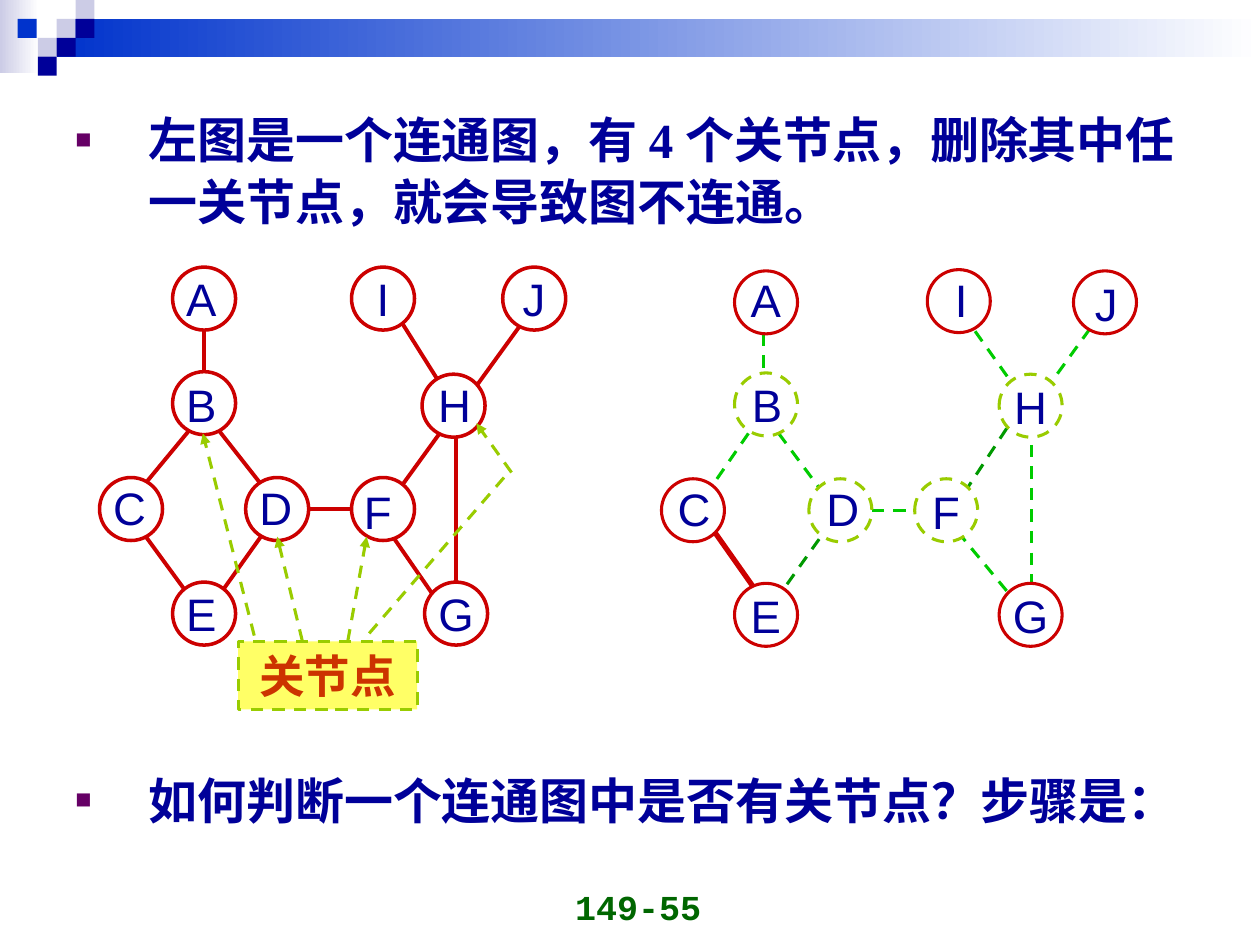
import lxml.etree
import pptx
import pptx.dml.color
import pptx.enum.dml
import pptx.enum.shapes
import pptx.enum.text
import pptx.oxml.ns
import pptx.util

Inches = pptx.util.Inches
Pt = pptx.util.Pt
RGBColor = pptx.dml.color.RGBColor
SHAPE = pptx.enum.shapes.MSO_SHAPE
ALIGN = pptx.enum.text.PP_ALIGN
ANCHOR = pptx.enum.text.MSO_ANCHOR
AUTO_SIZE = pptx.enum.text.MSO_AUTO_SIZE

WHITE = RGBColor(0xFF, 0xFF, 0xFF)
LAVENDER = RGBColor(0xCC, 0xCC, 0xE6)
ROYAL = RGBColor(0x00, 0x33, 0xCC)
NAVY = RGBColor(0x00, 0x00, 0x99)
PURPLE = RGBColor(0x66, 0x00, 0x66)
RED = RGBColor(0xCC, 0x00, 0x00)
RUST = RGBColor(0xCC, 0x33, 0x00)
YELLOW = RGBColor(0xFF, 0xFF, 0x66)
LIME = RGBColor(0x99, 0xCC, 0x00)
GREEN = RGBColor(0x00, 0xCC, 0x00)
MID_GREEN = RGBColor(0x00, 0x99, 0x00)
DARK_GREEN = RGBColor(0x00, 0x66, 0x00)

LETTER_WIDTHS = dict(A=0.44, B=0.44, C=0.46, D=0.46, E=0.44,
                     F=0.42, G=0.48, H=0.46, I=0.3, J=0.38)
NODE_SIZE = 0.5
SQUARE = 0.15


class SlideBuilder:
    def __init__(self, slide):
        self.slide = slide

    def add_child(self, parent, tag, **attributes):
        return lxml.etree.SubElement(parent, pptx.oxml.ns.qn(tag), attributes)

    def style_line(self, line, color, width, dashed):
        line.color.rgb = color
        line.width = Pt(width)
        if dashed:
            line.dash_style = pptx.enum.dml.MSO_LINE.DASH

    def style_font(self, font, size, color, bold=False, name=None):
        font.size = Pt(size)
        font.color.rgb = color
        font.bold = bold
        if name:
            font.name = name

    def shape(self, kind, x, y, width, height, fill, outline=None, weight=1.75, dashed=False):
        shape = self.slide.shapes.add_shape(kind, *map(Inches, (x, y, width, height)))
        shape.shadow.inherit = False
        shape.fill.solid()
        shape.fill.fore_color.rgb = fill
        if outline is None:
            shape.line.fill.background()
        else:
            self.style_line(shape.line, outline, weight, dashed)
        return shape

    def fade(self, x, y, width, height, color):
        band = self.shape(SHAPE.RECTANGLE, x, y, width, height, color)
        band.fill.gradient()
        band.fill.gradient_angle = 0
        for stop, stop_color in zip(band.fill.gradient_stops, (color, WHITE)):
            stop.color.rgb = stop_color

    def text(self, x, y, width, height, wrap=True):
        frame = self.slide.shapes.add_textbox(*map(Inches, (x, y, width, height))).text_frame
        frame.word_wrap = wrap
        return frame

    def letter(self, letter, x, y):
        frame = self.text(x, y, LETTER_WIDTHS[letter], 0.54, wrap=False)
        frame.auto_size = AUTO_SIZE.SHAPE_TO_FIT_TEXT
        frame.text = letter
        self.style_font(frame.paragraphs[0].font, 26, NAVY, name="Arial")

    def bullet(self, y, height, runs):
        paragraph = self.text(0.5, y, 9, height).paragraphs[0]
        paragraph.line_spacing = 1.05
        properties = paragraph._p.get_or_add_pPr()
        properties.set("marL", str(Inches(0.58)))
        properties.set("indent", str(-Inches(0.58)))
        bullet_color = self.add_child(properties, "a:buClr")
        self.add_child(bullet_color, "a:srgbClr", val=str(PURPLE))
        self.add_child(properties, "a:buSzPct", val="55000")
        self.add_child(properties, "a:buFont", typeface="Arial")
        self.add_child(properties, "a:buChar", char="■")
        self.style_font(paragraph.font, 28, NAVY, bold=True)
        for words, font_name in runs:
            run = paragraph.add_run()
            run.text = words
            run.font.name = font_name

    def line(self, start, end, color, width=1.75, dashed=True, arrow=False):
        connector = self.slide.shapes.add_connector(
            pptx.enum.shapes.MSO_CONNECTOR.STRAIGHT, *map(Inches, (*start, *end)))
        self.style_line(connector.line, color, width, dashed)
        if arrow:
            self.add_child(connector.line._get_or_add_ln(), "a:tailEnd", type="triangle")
        self.add_child(connector._element.spPr, "a:effectLst")

    def graph(self, edges, nodes, weight, removed=""):
        for edge in edges:
            self.line(*edge)
        for letter, (x, y, *_) in nodes.items():
            cut = letter in removed
            self.shape(SHAPE.OVAL, x, y, NODE_SIZE, NODE_SIZE, WHITE,
                       LIME if cut else RED, weight, cut)
        for letter, (_, _, x, y) in nodes.items():
            self.letter(letter, x, y)


CONNECTED_NODES = {
    "A": (1.37, 2.12, 1.38, 2.1), "B": (1.37, 2.95, 1.38, 2.94),
    "C": (0.79, 3.79, 0.8, 3.76), "D": (1.95, 3.79, 1.96, 3.76),
    "F": (2.79, 3.79, 2.79, 3.79), "E": (1.37, 4.62, 1.38, 4.6),
    "H": (3.35, 2.97, 3.38, 2.94), "G": (3.37, 4.62, 3.38, 4.6),
    "I": (2.79, 2.12, 2.89, 2.1), "J": (3.99, 2.12, 4.05, 2.1),
}
CONNECTED_EDGES = [(start, end, RED, 2.25, False) for start, end in (
    ((3.62, 3.37), (3.62, 4.7)), ((2.45, 4.04), (2.79, 4.04)),
    ((3.07, 4.19), (3.54, 4.87)), ((3.12, 2.45), (3.54, 3.12)),
    ((0.99, 4.03), (1.48, 4.7)), ((1.7, 3.37), (2.25, 4.07)),
    ((4.16, 2.54), (3.74, 3.12)), ((3.54, 3.37), (3.12, 3.95)),
    ((2.12, 4.19), (1.7, 4.78)), ((1.54, 3.37), (1.06, 3.95)),
    ((1.62, 2.62), (1.62, 3.04)),
)]
SPLIT_NODES = {
    "A": (5.83, 2.15, 5.86, 2.11), "B": (5.83, 2.96, 5.87, 2.94),
    "C": (5.25, 3.8, 5.28, 3.77), "D": (6.42, 3.8, 6.46, 3.77),
    "I": (7.36, 2.14, 7.48, 2.11), "E": (5.83, 4.63, 5.86, 4.62),
    "H": (7.93, 2.97, 7.95, 2.96), "G": (7.93, 4.63, 7.94, 4.62),
    "F": (7.26, 3.8, 7.3, 3.79), "J": (8.52, 2.15, 8.59, 2.14),
}
SPLIT_EDGES = [
    ((8.19, 3.36), (8.19, 4.69), GREEN), ((6.92, 4.05), (7.25, 4.05), GREEN),
    ((7.6, 4.22), (7.99, 4.69), GREEN), ((7.64, 2.49), (8.06, 3.08), GREEN),
    ((5.67, 4.22), (5.98, 4.66), RED, 3, False),
    ((6.18, 3.44), (6.5, 3.87), GREEN), ((8.65, 2.61), (8.23, 3.19), GREEN),
    ((7.99, 3.4), (7.68, 3.87), MID_GREEN), ((6.6, 4.14), (6.18, 4.73), MID_GREEN),
    ((5.94, 3.44), (5.67, 3.83), GREEN), ((6.06, 2.65), (6.06, 2.96), GREEN),
]
POINTERS = [
    ((2.4, 5.09), (2.2, 4.26)), ((2.06, 5.21), (1.61, 3.44)),
    ((4.06, 3.75), (3.78, 3.36)), ((2.76, 5.09), (2.91, 4.26)),
]
HEADER_SQUARES = [
    (0.45, 0.15, LAVENDER), (0.6, 0, LAVENDER), (0.6, 0.15, NAVY), (0.3, 0.3, LAVENDER),
    (0.14, 0.15, ROYAL), (0.45, 0.3, NAVY), (0.3, 0.45, NAVY),
]


def main():
    deck = pptx.Presentation()
    deck.slide_width, deck.slide_height = Inches(10), Inches(7.5)
    builder = SlideBuilder(deck.slides.add_slide(deck.slide_layouts[6]))

    builder.fade(0, 0, 0.31, 0.58, LAVENDER)
    builder.fade(0.45, 0.15, 9.55, 0.3, ROYAL)
    for x, y, color in HEADER_SQUARES:
        builder.shape(SHAPE.RECTANGLE, x, y, SQUARE, SQUARE, color)

    page_number = builder.text(3.9, 6.91, 2.33, 0.5)
    page_number.vertical_anchor = ANCHOR.BOTTOM
    page_number.text = "149-55"
    page_number.paragraphs[0].alignment = ALIGN.CENTER
    builder.style_font(page_number.paragraphs[0].font, 20, DARK_GREEN, True, "Courier New")

    builder.bullet(0.8, 1.1, [
        ("左图是一个连通图，", "Arial"), ("有 4 个关", "Times New Roman"),
        ("节点，删除其中任一关节点，就会导致图不连通。", "Arial")])
    builder.bullet(6.04, 0.6, [("如何判断一个连通图中是否有关节点？步骤是：", "Arial")])

    builder.graph(SPLIT_EDGES, SPLIT_NODES, 1.75, removed="BDFH")
    builder.graph(CONNECTED_EDGES, CONNECTED_NODES, 2)

    for start, end in POINTERS:
        builder.line(start, end, LIME, arrow=True)
    cut_label = builder.shape(SHAPE.RECTANGLE, 1.89, 5.09, 1.42, 0.54, YELLOW, LIME, dashed=True)
    cut_label.text_frame.text = "关节点"
    cut_label.text_frame.auto_size = AUTO_SIZE.SHAPE_TO_FIT_TEXT
    cut_label.text_frame.paragraphs[0].alignment = ALIGN.CENTER
    builder.style_font(cut_label.text_frame.paragraphs[0].font, 26, RUST, True, "Times New Roman")
    builder.line((4, 3.79), (2.91, 5.05), LIME)

    deck.save("out.pptx")


if __name__ == "__main__":
    main()
